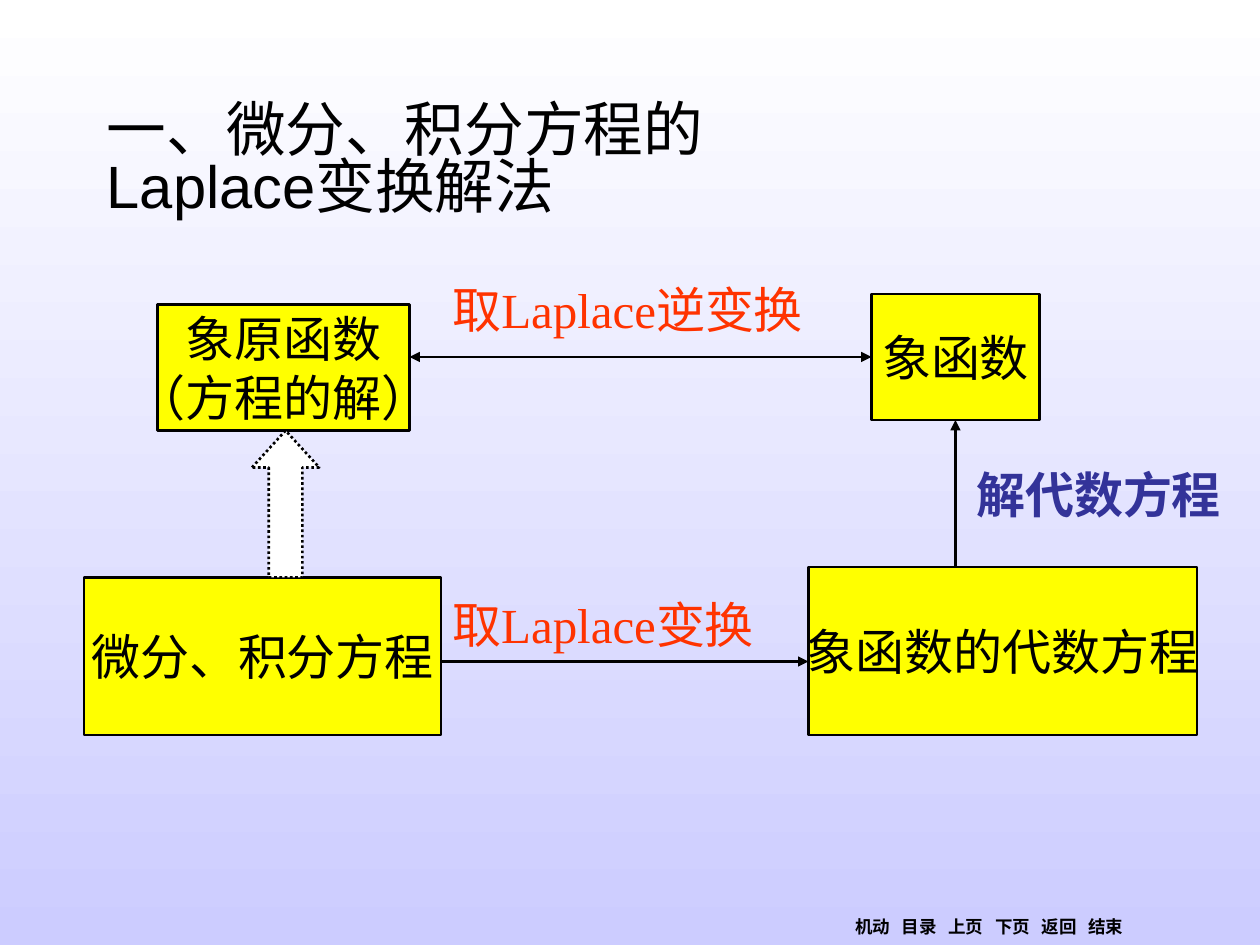
from lxml.etree import SubElement
from pptx import Presentation
from pptx.dml.color import RGBColor
from pptx.enum.dml import MSO_LINE
from pptx.enum.shapes import MSO_CONNECTOR, MSO_SHAPE
from pptx.enum.text import MSO_ANCHOR, PP_ALIGN
from pptx.oxml.ns import qn
from pptx.util import Inches, Pt

COLORS = {"black": "000000", "white": "FFFFFF", "lavender": "CCCCFF",
          "yellow": "FFFF00", "orange": "FF3300", "indigo": "333399"}
CJK = "Noto Sans CJK SC"
SERIF = "Times New Roman"
CELL = 1 / 12  # the slide is a grid of 120 columns by 90 rows
TAB_STEP = 0.37

TITLE = "一、微分、积分方程的\vLaplace变换解法"
NAVIGATION = ["机动", "目录", "上页", "下页", "返回", "结束"]

# text, (column, row, columns, rows)
STAGES = [
    ("象原函数\n（方程的解）", (15, 29, 24, 12)),
    ("象函数", (83, 28, 16, 12)),
    ("微分、积分方程", (8, 55, 34, 15)),
    ("象函数的代数方程", (77, 54, 37, 16)),
]
# start, end, arrowheads
STEPS = [
    ((39, 34), (83, 34), ("headEnd", "tailEnd")),
    ((42, 63), (77, 63), ("tailEnd",)),
    ((91, 54), (91, 40), ("tailEnd",)),
]
# text, (column, row, columns, rows), colour, bold
STEP_LABELS = [
    ("取Laplace逆变换", (41.9, 26, 38, 6.8), "orange", False),
    ("取Laplace变换", (41.9, 56, 33.4, 6.8), "orange", False),
    ("解代数方程", (91.8, 43.6, 25.7, 6.8), "indigo", True),
]
SOLUTION_ARROW = (24, 41, 6.4, 14)


def color(name):
    return RGBColor.from_string(COLORS[name])


def grid(cells):
    return [Inches(cell * CELL) for cell in cells]


def write(shape, text, font_name=SERIF, size=28, ink="black", bold=False,
          align=PP_ALIGN.LEFT, anchor=MSO_ANCHOR.TOP, wrap=False, spacing=None):
    frame = shape.text_frame
    frame.text = text
    frame.word_wrap = wrap
    frame.vertical_anchor = anchor
    look = {"name": font_name, "size": Pt(size), "bold": bold}
    for paragraph in frame.paragraphs:
        paragraph.alignment = align
        paragraph.line_spacing = spacing
        for run in paragraph.runs:
            for key, value in look.items():
                setattr(run.font, key, value)
            run.font.color.rgb = color(ink)
            SubElement(run.font._element, qn("a:ea"), typeface=CJK)
    return frame


def outline(line):
    line.color.rgb = color("black")
    line.width = Pt(1.5)


def add_solid(slide, preset, cells, fill):
    shape = slide.shapes.add_shape(preset, *grid(cells))
    shape.shadow.inherit = False
    shape.fill.solid()
    shape.fill.fore_color.rgb = color(fill)
    outline(shape.line)
    return shape


def add_step(slide, start, end, heads):
    step = slide.shapes.add_connector(MSO_CONNECTOR.STRAIGHT, *grid(start + end))
    outline(step.line)
    for head in heads:
        SubElement(step.line._get_or_add_ln(), qn(f"a:{head}"), type="triangle")
    SubElement(step._element.spPr, qn("a:effectLst"))


def add_navigation(slide):
    box = slide.shapes.add_textbox(Inches(6.69), Inches(7.22), Inches(2.96), Inches(0.27))
    frame = write(box, "\t".join(NAVIGATION), CJK, 10, bold=True, wrap=True)
    tabs = SubElement(frame.paragraphs[0]._p.get_or_add_pPr(), qn("a:tabLst"))
    for stop in range(1, len(NAVIGATION)):
        SubElement(tabs, qn("a:tab"), pos=str(Inches(stop * TAB_STEP)), algn="l")


def main():
    deck = Presentation()
    deck.slide_width, deck.slide_height = grid((120, 90))
    slide = deck.slides.add_slide(deck.slide_layouts[6])

    backdrop = slide.background.fill
    backdrop.gradient()
    backdrop.gradient_angle = 270
    for stop, name in zip(backdrop.gradient_stops, ("white", "lavender")):
        stop.color.rgb = color(name)

    add_navigation(slide)
    write(slide.shapes.add_textbox(*grid((9, 8, 102, 15))), TITLE, "Arial", 34.1,
          anchor=MSO_ANCHOR.MIDDLE, wrap=True, spacing=0.8)
    for text, cells in STAGES:
        write(add_solid(slide, MSO_SHAPE.RECTANGLE, cells, "yellow"), text,
              align=PP_ALIGN.CENTER, anchor=MSO_ANCHOR.MIDDLE)
    for step in STEPS:
        add_step(slide, *step)
    for text, cells, ink, bold in STEP_LABELS:
        write(slide.shapes.add_textbox(*grid(cells)), text, ink=ink, bold=bold)

    arrow = add_solid(slide, MSO_SHAPE.UP_ARROW, SOLUTION_ARROW, "white")
    arrow.adjustments[1] = 0.55
    arrow.line.dash_style = MSO_LINE.ROUND_DOT
    deck.save("out.pptx")


if __name__ == "__main__":
    main()
